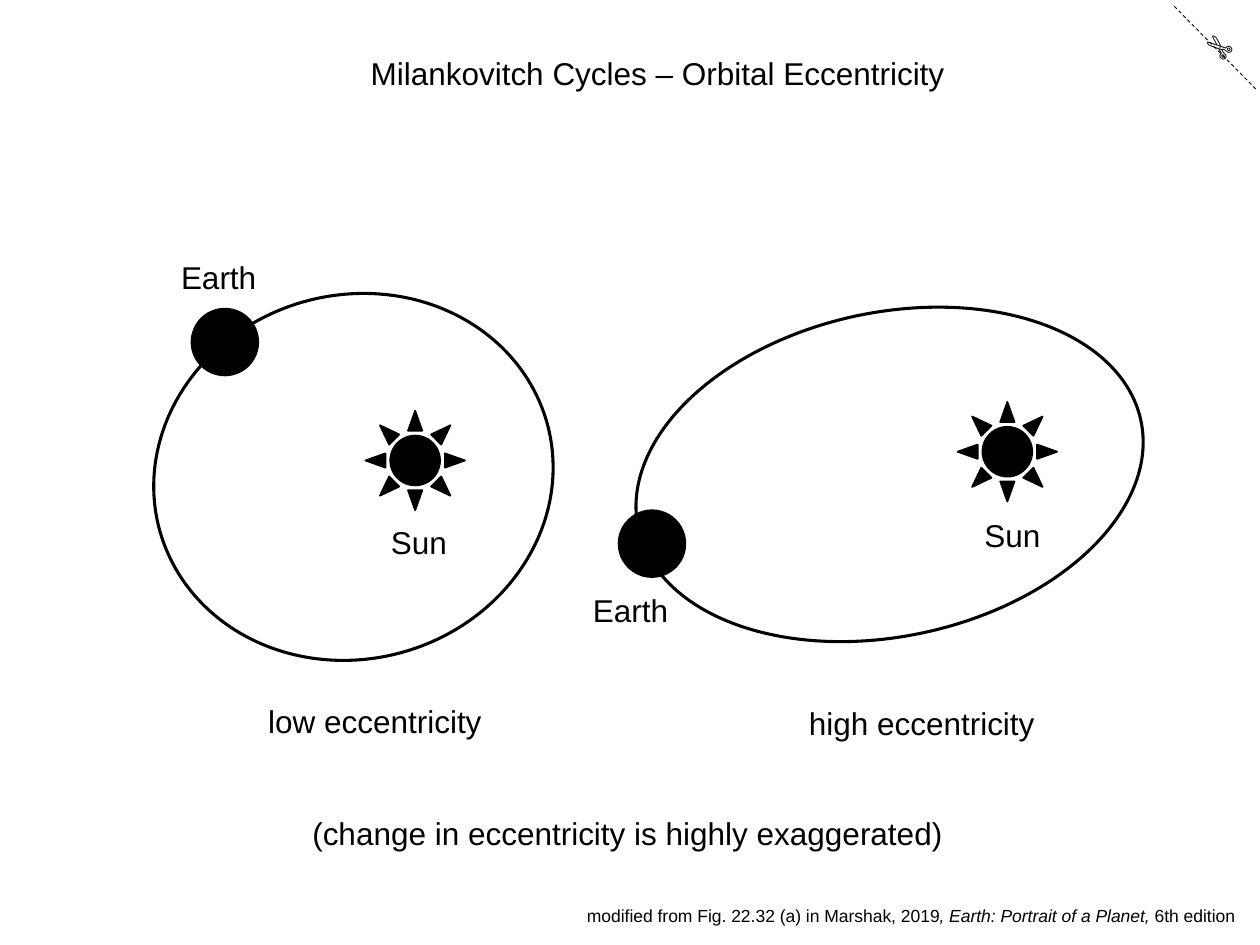
from lxml.etree import SubElement
from pptx import Presentation
from pptx.dml.color import RGBColor
from pptx.enum.dml import MSO_LINE
from pptx.enum.shapes import MSO_CONNECTOR, MSO_SHAPE
from pptx.enum.text import MSO_AUTO_SIZE, PP_ALIGN
from pptx.oxml.ns import qn
from pptx.util import Inches, Pt

BLACK = RGBColor(0, 0, 0)
WHITE = RGBColor(255, 255, 255)
EARTH_SIZE = 0.53
SUN_SIZE = 0.79


def add_text(text, left, top, width, height=0.4, size=18, align=PP_ALIGN.CENTER,
             fill=None, rotation=0):
    """Add one paragraph; text is a string or a list of (string, italic) runs."""
    box = slide.shapes.add_textbox(Inches(left), Inches(top), Inches(width), Inches(height))
    box.rotation = rotation
    if fill is not None:
        box.fill.solid()
        box.fill.fore_color.rgb = fill
    frame = box.text_frame
    frame.word_wrap = True
    frame.auto_size = MSO_AUTO_SIZE.SHAPE_TO_FIT_TEXT
    paragraph = frame.paragraphs[0]
    paragraph.alignment = align
    for part, italic in [(text, False)] if isinstance(text, str) else text:
        run = paragraph.add_run()
        run.text = part
        run.font.name = "Arial"
        run.font.size = Pt(size)
        run.font.italic = italic
        run.font.color.rgb = BLACK


def add_body(kind, left, top, width, height, line_width=1, filled=True, rotation=0):
    """Add an orbit, planet or sun outlined in black."""
    shape = slide.shapes.add_shape(kind, Inches(left), Inches(top), Inches(width), Inches(height))
    shape.shadow.inherit = False
    shape.rotation = rotation
    if filled:
        shape.fill.solid()
        shape.fill.fore_color.rgb = BLACK
    else:
        shape.fill.background()
    shape.line.color.rgb = BLACK
    shape.line.width = Pt(line_width)


presentation = Presentation()
presentation.slide_width = Inches(10)
presentation.slide_height = Inches(7.5)
slide = presentation.slides.add_slide(presentation.slide_layouts[6])

# Cut mark in the corner
cut_line = slide.shapes.add_connector(
    MSO_CONNECTOR.STRAIGHT, Inches(9.32), Inches(0.05), Inches(9.98), Inches(0.72))
cut_line.line.color.rgb = BLACK
cut_line.line.width = Pt(0.5)
cut_line.line.dash_style = MSO_LINE.DASH
SubElement(cut_line._element.spPr, qn("a:effectLst"))
add_text("✄", 9.46, 0.18, 0.42, align=PP_ALIGN.LEFT, rotation=220.5)

# Title and source
add_text("Milankovitch Cycles – Orbital Eccentricity", 2.64, 0.38, 5.16)
add_text([("modified from Fig. 22.32 (a) in Marshak, 2019", False),
          (", Earth: Portrait of a Planet, ", True),
          ("6th edition", False)],
         4.56, 7.13, 5.44, 0.27, size=10, align=PP_ALIGN.LEFT)

# Labels, placed behind the orbits
labels = [
    ("low eccentricity", 1.98, 5.52, 1.99, 0.4),
    ("high eccentricity", 6.32, 5.54, 1.99, 0.71),
    ("Earth", 0.74, 2, 1.99, 0.4),
    ("Earth", 4.01, 4.64, 1.99, 0.4),
    ("Sun", 2.93, 4.1, 0.79, 0.4),
    ("Sun", 7.64, 4.05, 0.79, 0.4),
    ("(change in eccentricity is highly exaggerated)", 1.67, 6.41, 6.62, 0.4),
]
for text, left, top, width, height in labels:
    add_text(text, left, top, width, height, fill=WHITE)

# Orbits with Earth and Sun: low, then high eccentricity
systems = [
    ((1.21, 2.34, 3.19, 2.89), 344.5, (1.52, 2.45), (2.9, 3.26)),
    ((5.02, 2.48, 4.08, 2.57), 347.9, (4.91, 4.05), (7.6, 3.19)),
]
for orbit, tilt, earth, sun in systems:
    add_body(MSO_SHAPE.OVAL, *orbit, line_width=1.75, filled=False, rotation=tilt)
    add_body(MSO_SHAPE.OVAL, *earth, EARTH_SIZE, EARTH_SIZE)
    add_body(MSO_SHAPE.SUN, *sun, SUN_SIZE, SUN_SIZE)

presentation.save("out.pptx")
